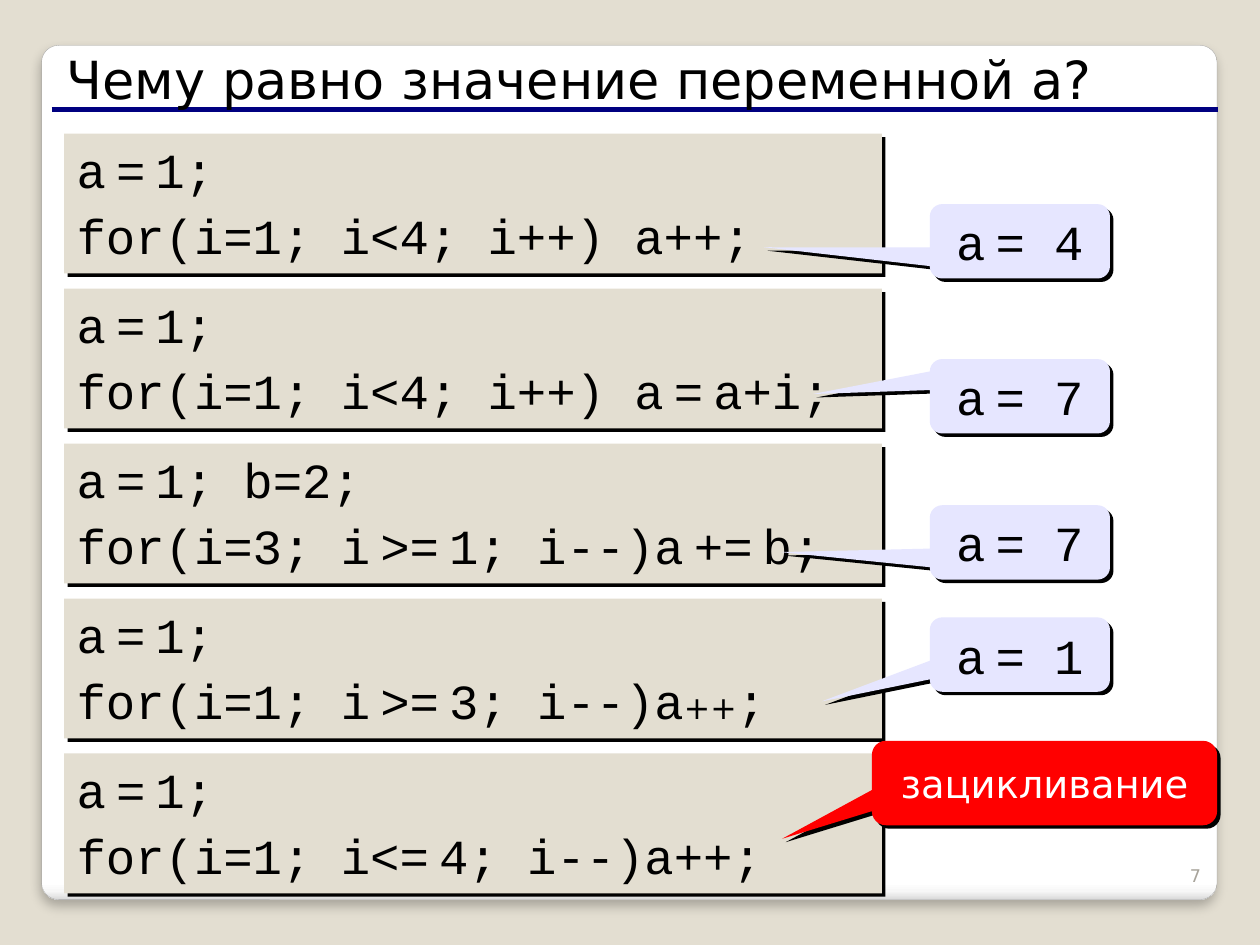
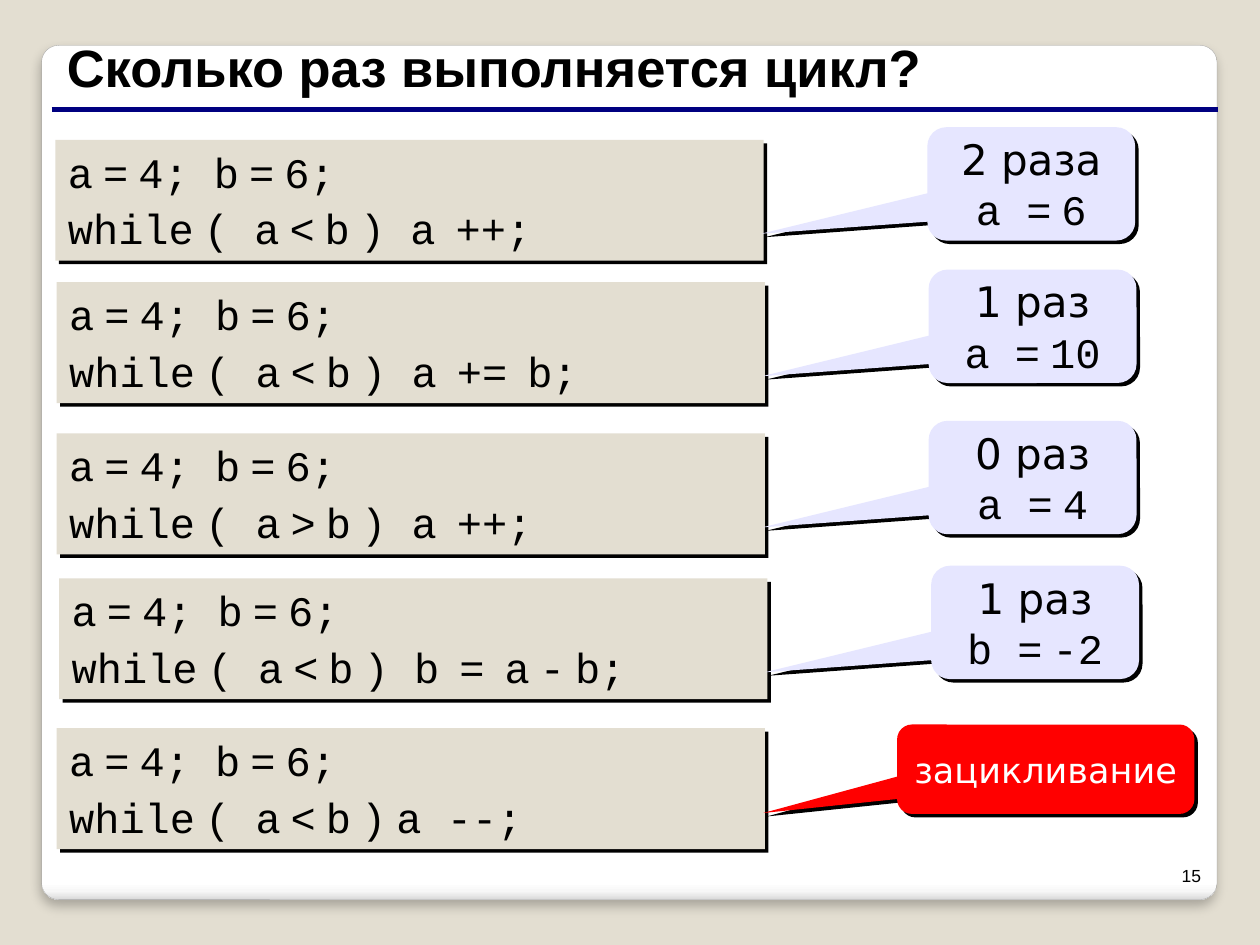
from dataclasses import dataclass

from lxml.etree import SubElement
from pptx import Presentation
from pptx.dml.color import RGBColor
from pptx.enum.shapes import MSO_CONNECTOR as Connector, MSO_SHAPE as Shape
from pptx.enum.text import MSO_ANCHOR as Anchor, MSO_AUTO_SIZE as AutoSize, PP_ALIGN as Align
from pptx.oxml.ns import qn
from pptx.util import Inches, Pt

COLORS = {
    "sand": "E3DED1",
    "white": "FFFFFF",
    "panel_shade": "F7F7F7",
    "panel_edge": "DADADA",
    "panel_line": "A4A4A4",
    "navy": "000080",
    "black": "000000",
    "lilac": "E6E6FF",
    "red": "FF0000",
    "page_grey": "A8A49B",
}
CODE_FONT = "Courier New"
PROSE_FONT = "DejaVu Sans"
NARROW_SIZE = 18


@dataclass(frozen=True)
class Box:
    left: float
    top: float
    width: float
    height: float

    def lengths(self) -> tuple:
        return tuple(Inches(n) for n in (self.left, self.top, self.width, self.height))


@dataclass(frozen=True)
class Callout:
    """A bubble; tip is measured from its centre in bubble widths and heights."""
    box: Box
    tip: tuple[float, float]
    size: int
    caption: str = ""
    code: str = ""
    fill: str = "lilac"
    ink: str = "black"


@dataclass(frozen=True)
class Task:
    """A code block with its answer; text between bars is set in the narrow style."""
    box: Box
    lines: tuple[str, str]
    answer: Callout


@dataclass(frozen=True)
class Quiz:
    title: str
    title_font: str
    title_top: float
    bold: bool
    page: str
    page_font: str
    page_color: str
    code_size: int
    tasks: list[Task]


def color(name: str) -> RGBColor:
    return RGBColor.from_string(COLORS[name])


def style(run, font: str, size: int, ink: str, bold: bool = False) -> None:
    run.font.name = font
    run.font.size = Pt(size)
    run.font.bold = bold
    run.font.color.rgb = color(ink)


def set_space_before(para, percent: int) -> None:
    """Set spacing relative to the text size."""
    spacing = para._p.get_or_add_pPr().get_or_add_spcBef()
    SubElement(spacing, qn("a:spcPct"), val=str(percent * 1000))


def set_shadow(shape, blur: float, distance: float, angle: int, opacity: int) -> None:
    shape.shadow.inherit = False
    effects = shape._element.spPr.find(qn("a:effectLst"))
    shadow = SubElement(effects, qn("a:outerShdw"), blurRad=str(Pt(blur)),
                        dist=str(Pt(distance)), dir=str(angle * 60000),
                        algn="ctr", rotWithShape="0")
    tint = SubElement(shadow, qn("a:srgbClr"), val=COLORS["black"])
    SubElement(tint, qn("a:alpha"), val=str(opacity * 1000))


def add_block(page, kind: Shape, box: Box, fill: str):
    """Add a borderless filled shape with a hard shadow."""
    block = page.shapes.add_shape(kind, *box.lengths())
    block.fill.solid()
    block.fill.fore_color.rgb = color(fill)
    block.line.fill.background()
    set_shadow(block, blur=0, distance=2.8, angle=45, opacity=100)
    block.text_frame.word_wrap = True
    return block


def write_code(para, markup: str, size: int) -> None:
    for index, piece in enumerate(markup.split("|")):
        span = para.add_run()
        span.text = piece
        if index % 2:
            style(span, PROSE_FONT, NARROW_SIZE, "black")
        else:
            style(span, CODE_FONT, size, "black")


def add_code(page, task: Task, size: int) -> None:
    frame = add_block(page, Shape.RECTANGLE, task.box, "sand").text_frame
    frame.vertical_anchor = Anchor.TOP
    frame.auto_size = AutoSize.SHAPE_TO_FIT_TEXT
    for index, line in enumerate(task.lines):
        para = frame.add_paragraph() if index else frame.paragraphs[0]
        para.alignment = Align.LEFT
        set_space_before(para, 15)
        write_code(para, line, size)


def add_callout(page, callout: Callout) -> None:
    bubble = add_block(page, Shape.ROUNDED_RECTANGULAR_CALLOUT, callout.box, callout.fill)
    bubble.adjustments[0], bubble.adjustments[1] = callout.tip
    frame = bubble.text_frame
    frame.vertical_anchor = Anchor.MIDDLE
    para = frame.paragraphs[0]
    para.alignment = Align.CENTER
    if callout.caption:
        para.text = callout.caption
        style(para.runs[0], PROSE_FONT, callout.size, callout.ink)
    if callout.code:
        if callout.caption:
            para = frame.add_paragraph()
            para.alignment = Align.CENTER
        write_code(para, callout.code, callout.size)


def dress_layout(layout, page) -> None:
    """Draw the white panel and title rule, then move them into the layout."""
    panel = page.shapes.add_shape(Shape.ROUNDED_RECTANGLE, *Box(0.33, 0.36, 9.33, 6.78).lengths())
    panel.adjustments[0] = 0.02
    panel.fill.gradient()
    panel.fill.gradient_angle = 270
    stops = panel._element.spPr.find(qn("a:gradFill")).find(qn("a:gsLst"))
    stops.clear()
    for place, name in ((0, "white"), (98, "white"), (99, "panel_shade"), (100, "panel_edge")):
        stop = SubElement(stops, qn("a:gs"), pos=str(place * 1000))
        SubElement(stop, qn("a:srgbClr"), val=COLORS[name])
    panel.line.color.rgb = color("panel_line")
    panel.line.width = Pt(0.16)
    set_shadow(panel, blur=6, distance=4, angle=90, opacity=25)

    rule = page.shapes.add_connector(Connector.STRAIGHT, Inches(0.41), Inches(0.87),
                                     Inches(9.67), Inches(0.87))
    rule.line.color.rgb = color("navy")
    rule.line.width = Pt(3)
    SubElement(rule._element.spPr, qn("a:effectLst"))

    for index, shape in enumerate((panel, rule)):
        layout.shapes._spTree.insert(2 + index, shape._element)


def add_title(page, quiz: Quiz) -> None:
    title = page.shapes.title
    title.left, title.top, title.width, title.height = Box(0.43, quiz.title_top, 8.9, 0.6).lengths()
    frame = title.text_frame
    frame.text = quiz.title
    frame.word_wrap = True
    frame.vertical_anchor = Anchor.TOP
    frame.auto_size = AutoSize.SHAPE_TO_FIT_TEXT
    para = frame.paragraphs[0]
    para.alignment = Align.LEFT
    set_space_before(para, 50)
    style(para.runs[0], quiz.title_font, 30, "black", quiz.bold)


def add_page_number(page, quiz: Quiz) -> None:
    frame = page.shapes.add_textbox(*Box(9.13, 6.68, 0.5, 0.4).lengths()).text_frame
    frame.word_wrap = True
    frame.vertical_anchor = Anchor.BOTTOM
    para = frame.paragraphs[0]
    para.text = quiz.page
    para.alignment = Align.RIGHT
    style(para.runs[0], quiz.page_font, 10, quiz.page_color)


def fill_page(page, quiz: Quiz) -> None:
    add_title(page, quiz)
    add_page_number(page, quiz)
    for task in quiz.tasks:
        add_code(page, task, quiz.code_size)
        add_callout(page, task.answer)


def endless(box: Box, tip: tuple[float, float], size: int) -> Callout:
    return Callout(box, tip, size, caption="зацикливание", fill="red", ink="white")


def for_answer(top: float, tip: tuple[float, float], value: int) -> Callout:
    return Callout(Box(7.38, top, 1.43, 0.59), tip, 28, code=f"a| |= {value}")


def for_tasks() -> list[Task]:
    start = "a| |=| |1;"
    rows = [
        (start, "for(i=1; i<4; i++) a++;", for_answer(1.62, (-1.42, 0.08), 4)),
        (start, "for(i=1; i<4; i++) a| |=| |a+i;", for_answer(2.85, (-1.15, -0.03), 7)),
        (start + " b=2;", "for(i=3; i| |>=| |1; i--)a| |+=| |b;",
         for_answer(4.01, (-1.33, 0.13), 7)),
        (start, "for(i=1; i| |>=| |3; i--)a|++|;", for_answer(4.9, (-1.1, 0.63), 1)),
        (start, "for(i=1; i<=| |4; i--)a++;",
         endless(Box(6.92, 5.88, 2.74, 0.67), (-0.76, 0.66), 22)),
    ]
    return [Task(Box(0.51, 1.06 + 1.23 * index, 6.49, 1.11), (first, loop), answer)
            for index, (first, loop, answer) in enumerate(rows)]


def while_task(left: float, top: float, sign: str, body: str, answer: Callout) -> Task:
    lines = ("a| |=| |4; b| |=| |6;", f"while| |( a| |{sign}| |b| |){body}")
    return Task(Box(left, top, 5.62, 0.96), lines, answer)


def while_tasks() -> list[Task]:
    rows = [
        (0.44, 1.11, "<", " a|  |++;", "2 раза", "a =| |6"),
        (0.45, 2.24, "<", " a|  |+=|  |b;", "1 раз", "a =| |10"),
        (0.45, 3.44, ">", " a|  |++;", "0 раз", "a =| |4"),
        (0.47, 4.59, "<", " b|  |=|  |a| |-| |b;", "1 раз", "b =| |-2"),
    ]
    tasks = [while_task(left, top, sign, body,
                        Callout(Box(left + 6.92, top - 0.1, 1.65, 0.9), (-1.3, 0.44), 24,
                                caption, code))
             for left, top, sign, body, caption, code in rows]
    stuck = endless(Box(7.12, 5.75, 2.36, 0.71), (-0.95, 0.49), 20)
    return tasks + [while_task(0.45, 5.78, "<", "| |a --;", stuck)]


def main() -> None:
    deck = Presentation()
    deck.slide_width, deck.slide_height = Inches(10), Inches(7.5)
    background = deck.slide_master.background.fill
    background.solid()
    background.fore_color.rgb = color("sand")
    layout = deck.slide_layouts.get_by_name("Title Only")
    quizzes = [
        Quiz("Чему равно значение переменной a?", PROSE_FONT, 0.32, False,
             "7", PROSE_FONT, "page_grey", 28, for_tasks()),
        Quiz("Сколько раз выполняется цикл?", "Arial", 0.23, True,
             "15", "Arial", "black", 24, while_tasks()),
    ]
    pages = [deck.slides.add_slide(layout) for _ in quizzes]
    dress_layout(layout, pages[0])
    for page, quiz in zip(pages, quizzes):
        fill_page(page, quiz)
    deck.save("out.pptx")


if __name__ == "__main__":
    main()
